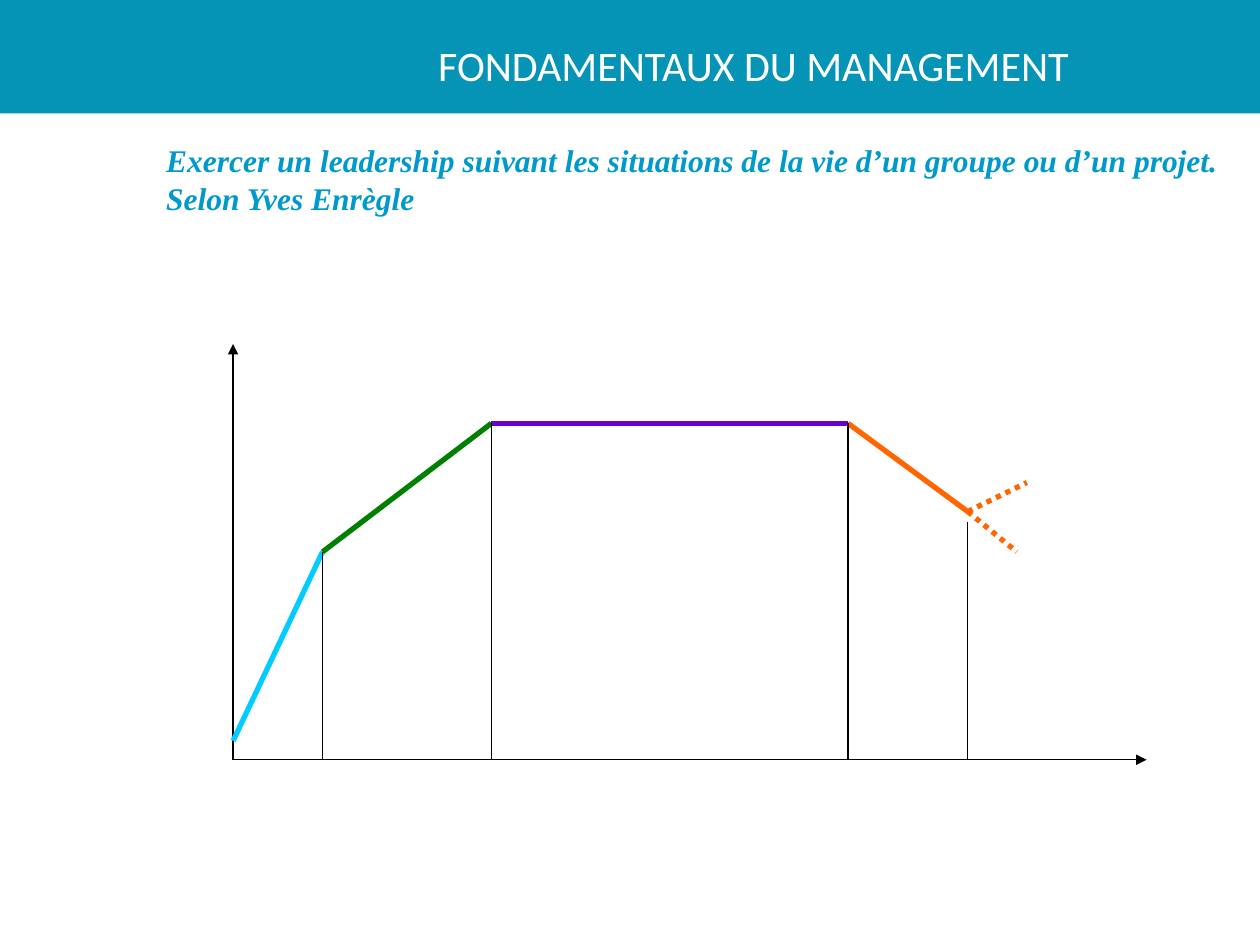
from lxml import etree
from pptx import Presentation
from pptx.dml.color import RGBColor
from pptx.enum.dml import MSO_LINE
from pptx.enum.shapes import MSO_CONNECTOR, MSO_SHAPE
from pptx.enum.text import MSO_ANCHOR, PP_ALIGN
from pptx.oxml.ns import qn
from pptx.util import Inches, Pt

RECTANGLE = MSO_SHAPE.RECTANGLE
STRAIGHT = MSO_CONNECTOR.STRAIGHT
DOTTED = MSO_LINE.ROUND_DOT
MIDDLE, TOP = MSO_ANCHOR.MIDDLE, MSO_ANCHOR.TOP
CENTER, LEFT = PP_ALIGN.CENTER, PP_ALIGN.LEFT

TEAL = RGBColor(0x05, 0x94, 0xB6)
WHITE = RGBColor(0xFF, 0xFF, 0xFF)
BLACK = RGBColor(0x00, 0x00, 0x00)
HEADING_BLUE = RGBColor(0x00, 0x99, 0xCC)
SKY = RGBColor(0x00, 0xCC, 0xFF)
GREEN = RGBColor(0x00, 0x80, 0x00)
PURPLE = RGBColor(0x66, 0x00, 0xCC)
ORANGE = RGBColor(0xFF, 0x66, 0x00)

COLUMNS, ROWS = 100, 75


class SlideBuilder:
    """Draws on one slide, with lengths in columns and rows of a 100 x 75 grid."""

    title_font, body_font = "Calibri", "Times New Roman"
    thin, thick = Pt(0.75), Pt(3)

    def __init__(self, presentation):
        self.column = presentation.slide_width / COLUMNS
        self.row = presentation.slide_height / ROWS
        self.shapes = presentation.slides.add_slide(presentation.slide_layouts[6]).shapes

    def place(self, x, y):
        return round(x * self.column), round(y * self.row)

    def band(self, x, y, width, height, color):
        band = self.shapes.add_shape(RECTANGLE, *self.place(x, y), *self.place(width, height))
        band.shadow.inherit = False
        band.fill.solid()
        band.fill.fore_color.rgb = color
        band.line.fill.background()

    def text(self, x, y, width, height, words, font, size, color,
             align=LEFT, anchor=TOP, emphasis=False, wrap=True):
        frame = self.shapes.add_textbox(*self.place(x, y), *self.place(width, height)).text_frame
        frame.word_wrap = wrap
        frame.vertical_anchor = anchor
        frame.text = words
        for paragraph in frame.paragraphs:
            paragraph.alignment = align
            for run in paragraph.runs:
                run.font.name = font
                run.font.size = Pt(size)
                run.font.color.rgb = color
                run.font.bold = run.font.italic = emphasis

    def line(self, start, end, color=BLACK, width=thin, dash=None, arrow=False):
        connector = self.shapes.add_connector(STRAIGHT, *self.place(*start), *self.place(*end))
        connector.line.color.rgb = color
        connector.line.width = width
        if dash:
            connector.line.dash_style = dash
        properties = connector._element.spPr
        if arrow:
            etree.SubElement(properties.find(qn("a:ln")), qn("a:tailEnd"), type="triangle")
        etree.SubElement(properties, qn("a:effectLst"))


def main():
    presentation = Presentation()
    presentation.slide_width, presentation.slide_height = Inches(10), Inches(7.5)
    slide = SlideBuilder(presentation)

    slide.band(0, 0, COLUMNS, 9, TEAL)
    slide.text(29.5, 1.3, 60.6, 7.6, "FONDAMENTAUX DU MANAGEMENT",
               slide.title_font, 24, WHITE, align=CENTER, anchor=MIDDLE)

    origin = (18.5, 60.3)
    baseline = origin[1]
    for axis_end in [(18.5, 27.3), (91, baseline)]:
        slide.line(origin, axis_end, arrow=True)

    slide.text(12.2, 10.7, 85.5, 7,
               "Exercer un leadership suivant les situations de la vie d’un groupe ou d’un projet.\n"
               "Selon Yves Enrègle",
               slide.body_font, 18, HEADING_BLUE, emphasis=True, wrap=False)

    phase_points = [(18.5, 58.8), (25.6, 43.8), (39, 33.6), (67.3, 33.6), (76.8, 40.6)]
    phase_colors = [SKY, GREEN, PURPLE, ORANGE]
    for start, end, color in zip(phase_points, phase_points[1:], phase_colors):
        slide.line(start, end, color, slide.thick)

    for outcome in [(81.5, 38.3), (80.7, 43.8)]:
        slide.line(phase_points[-1], outcome, ORANGE, slide.thick, DOTTED)

    last_marker_top = (76.8, 41.4)
    for x, top in phase_points[1:-1] + [last_marker_top]:
        slide.line((x, baseline), (x, top))

    presentation.save("out.pptx")


if __name__ == "__main__":
    main()
